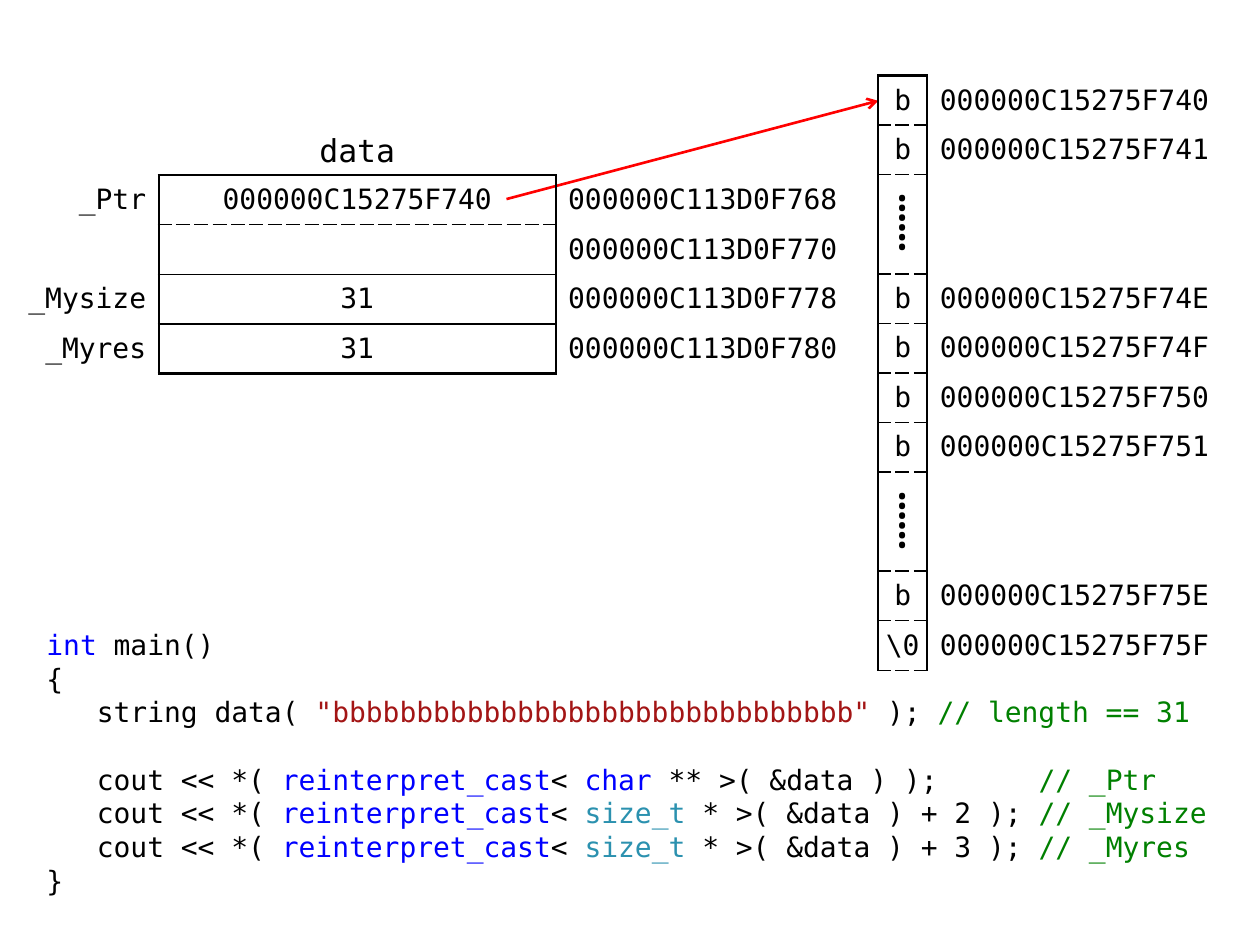
from dataclasses import dataclass

from lxml.etree import SubElement
from pptx import Presentation
from pptx.dml.color import RGBColor
from pptx.enum.shapes import MSO_CONNECTOR
from pptx.enum.text import MSO_ANCHOR, PP_ALIGN
from pptx.oxml import parse_xml
from pptx.oxml.ns import nsdecls, qn
from pptx.util import Inches, Pt

BLACK = RGBColor(0x00, 0x00, 0x00)
RED = RGBColor(0xFF, 0x00, 0x00)
KEYWORD = RGBColor(0x00, 0x00, 0xFF)
STRING = RGBColor(0xA3, 0x15, 0x15)
COMMENT = RGBColor(0x00, 0x80, 0x00)
TYPE = RGBColor(0x2B, 0x91, 0xAF)

MONO = "DejaVu Sans Mono"
SERIF = "Times New Roman"
CODE_PITCH = Pt(19.25)
ROW_HEIGHT = Inches(4.72 / 12)
NO_STYLE_NO_GRID = "{2D5ABB26-0587-4C30-8999-92F81FD0307C}"
ELLIPSIS = "⸽"


@dataclass(frozen=True)
class Border:
    width: float
    dash: str = "solid"


OUTER = Border(1.5)
INNER = Border(1)
DASHED = Border(1, "sysDash")


@dataclass(frozen=True)
class Member:
    name: str
    value: str
    address: str
    top: Border
    bottom: Border


@dataclass(frozen=True)
class Byte:
    content: str
    address: str = ""
    rows: int = 1


MEMBERS = [
    Member("_Ptr", "000000C15275F740", "000000C113D0F768", OUTER, DASHED),
    Member("", "", "000000C113D0F770", DASHED, INNER),
    Member("_Mysize", "31", "000000C113D0F778", INNER, INNER),
    Member("_Myres", "31", "000000C113D0F780", INNER, OUTER),
]

BYTES = [
    Byte("b", "000000C15275F740"),
    Byte("b", "000000C15275F741"),
    Byte(ELLIPSIS, rows=2),
    Byte("b", "000000C15275F74E"),
    Byte("b", "000000C15275F74F"),
    Byte("b", "000000C15275F750"),
    Byte("b", "000000C15275F751"),
    Byte(ELLIPSIS, rows=2),
    Byte("b", "000000C15275F75E"),
    Byte("\\0", "000000C15275F75F"),
]


def cout_line(type_name, type_color, rest, comment):
    return [("   cout << *( ", BLACK), ("reinterpret_cast", KEYWORD), ("< ", BLACK),
            (type_name, type_color), (rest, BLACK), (comment, COMMENT)]


DECLARATION = [
    [("int", KEYWORD), (" main()", BLACK)],
    [("{", BLACK)],
    [("   string data( ", BLACK), ('"' + "b" * 31 + '" ', STRING),
     ("); ", BLACK), ("// length == 31", COMMENT)],
]
OUTPUT = [
    cout_line("char", KEYWORD, " ** >( &data ) );      ", "// _Ptr"),
    cout_line("size_t ", TYPE, "* >( &data ) + 2 );", " // _Mysize"),
    cout_line("size_t ", TYPE, "* >( &data ) + 3 );", " // _Myres"),
    [("}", BLACK)],
]


def write(paragraph, text: str, *, size: float = 16, font: str = MONO,
          color: RGBColor = BLACK, align: PP_ALIGN = PP_ALIGN.LEFT) -> None:
    paragraph.alignment = align
    run = paragraph.add_run()
    run.text = text
    run.font.size = Pt(size)
    run.font.name = font
    run.font.color.rgb = color


def set_borders(cell, **borders: Border) -> None:
    """Draw the given sides: left, right, top, bottom."""
    properties = cell._tc.get_or_add_tcPr()
    sides = [side for side in ("left", "right", "top", "bottom") if side in borders]
    for position, side in enumerate(sides):
        border = borders[side]
        tag = "ln" + side[0].upper()
        properties.insert(position, parse_xml(
            f'<a:{tag} {nsdecls("a")} w="{Pt(border.width)}">'
            f'<a:solidFill><a:srgbClr val="{BLACK}"/></a:solidFill>'
            f'<a:prstDash val="{border.dash}"/></a:{tag}>'))


def fill_cell(cell, text: str, *, margin: float = 0.1, **text_format) -> None:
    cell.margin_left = cell.margin_right = Inches(margin)
    cell.margin_top = cell.margin_bottom = Inches(0.04 if margin else 0)
    cell.vertical_anchor = MSO_ANCHOR.MIDDLE
    cell.fill.background()
    if text:
        write(cell.text_frame.paragraphs[0], text, **text_format)


def add_plain_table(slide, left: float, top: float, rows: int, widths: list[float]):
    table = slide.shapes.add_table(
        rows, len(widths), Inches(left), Inches(top),
        Inches(sum(widths)), ROW_HEIGHT * rows).table
    table.first_row = table.horz_banding = False
    table._tbl.tblPr.find(qn("a:tableStyleId")).text = NO_STYLE_NO_GRID
    for column, width in zip(table.columns, widths):
        column.width = Inches(width)
    for row in table.rows:
        row.height = ROW_HEIGHT
    return table


def add_members(slide) -> None:
    table = add_plain_table(slide, 0.08, 1.39, len(MEMBERS), [1.18, 3.15, 2.36])
    for row, member in enumerate(MEMBERS):
        name, value, address = (table.cell(row, column) for column in range(3))
        fill_cell(name, member.name, align=PP_ALIGN.RIGHT)
        fill_cell(value, member.value, margin=0.08, align=PP_ALIGN.CENTER)
        fill_cell(address, member.address)
        set_borders(name, right=OUTER)
        set_borders(value, left=OUTER, right=OUTER, top=member.top, bottom=member.bottom)
        set_borders(address, left=OUTER)


def add_bytes(slide) -> None:
    table = add_plain_table(slide, 6.97, 0.6, sum(byte.rows for byte in BYTES), [0.39, 2.36])
    row = 0
    for byte in BYTES:
        content = table.cell(row, 0)
        if byte.rows > 1:
            content.merge(table.cell(row + byte.rows - 1, 0))
        is_gap = byte.content == ELLIPSIS
        fill_cell(content, byte.content, margin=0, align=PP_ALIGN.CENTER,
                  size=28 if is_gap else 16, font=SERIF if is_gap else MONO)
        for covered in range(row, row + byte.rows):
            sides = {"left": OUTER, "right": OUTER}
            if covered == row:
                sides["top"] = DASHED if row else OUTER
            if covered == row + byte.rows - 1:
                sides["bottom"] = DASHED
            set_borders(table.cell(covered, 0), **sides)
            fill_cell(table.cell(covered, 1), byte.address)
            set_borders(table.cell(covered, 1), left=OUTER)
        row += byte.rows


def add_code(slide) -> None:
    frame = slide.shapes.add_textbox(
        Inches(0.27), Inches(4.93), Inches(9.45), Inches(2.17)).text_frame
    frame.word_wrap = True
    for index, line in enumerate(DECLARATION + OUTPUT):
        paragraph = frame.add_paragraph() if index else frame.paragraphs[0]
        paragraph.line_spacing = CODE_PITCH
        if index == len(DECLARATION):
            paragraph.space_before = CODE_PITCH
        for text, color in line:
            write(paragraph, text, color=color)


def add_pointer(slide) -> None:
    pointer = slide.shapes.add_connector(
        MSO_CONNECTOR.STRAIGHT, Inches(4.02), Inches(1.58), Inches(6.97), Inches(0.8))
    pointer.line.color.rgb = RED
    pointer.line.width = Pt(1.5)
    SubElement(pointer.line._get_or_add_ln(), qn("a:tailEnd"), type="arrow")
    SubElement(pointer._element.spPr, qn("a:effectLst"))


def add_title(slide) -> None:
    frame = slide.shapes.add_textbox(
        Inches(2.44), Inches(0.99), Inches(0.79), Inches(0.39)).text_frame
    frame.margin_left = frame.margin_right = Inches(0.08)
    frame.word_wrap = False
    write(frame.paragraphs[0], "data", size=18, align=PP_ALIGN.CENTER)


def main() -> None:
    presentation = Presentation()
    presentation.slide_width, presentation.slide_height = Inches(10), Inches(7.5)
    slide = presentation.slides.add_slide(presentation.slide_layouts[6])
    for add_part in (add_code, add_pointer, add_members, add_bytes, add_title):
        add_part(slide)
    presentation.save("out.pptx")


if __name__ == "__main__":
    main()
